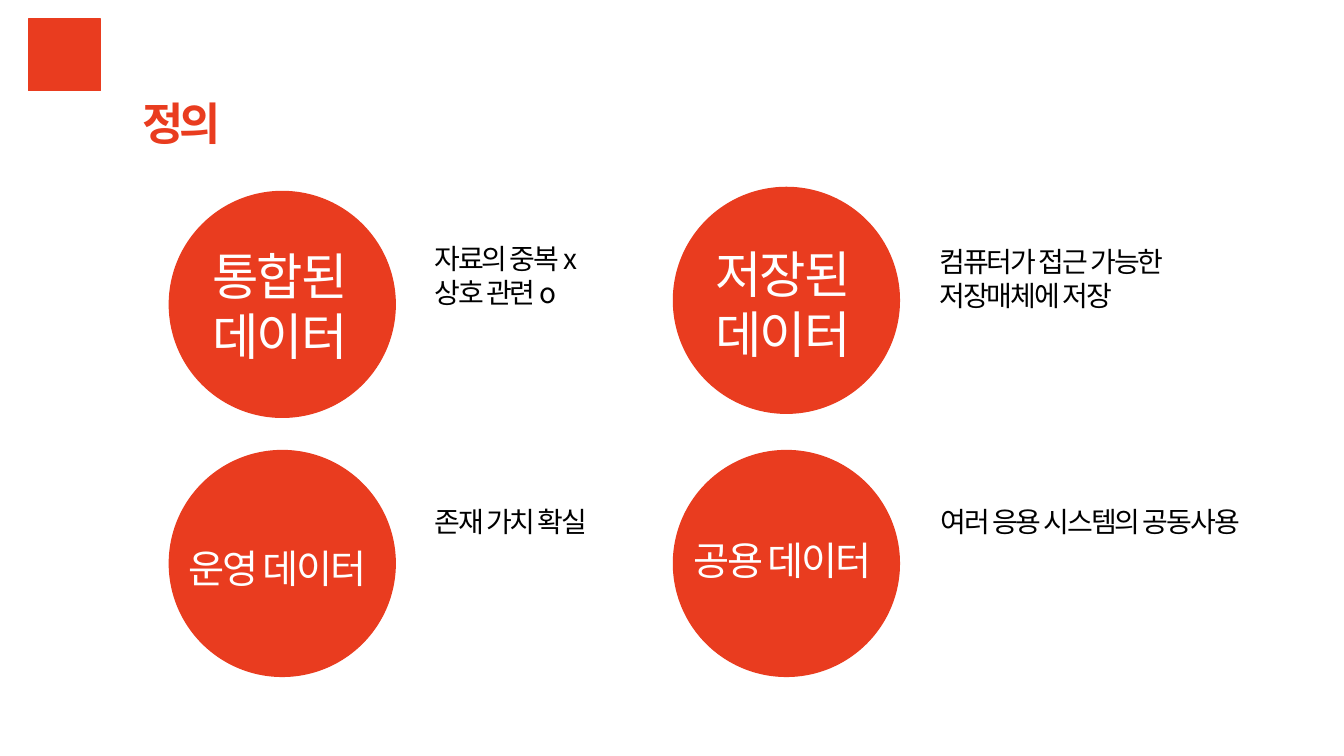
from pptx import Presentation, util as u
from pptx.dml.color import RGBColor
from pptx.enum import shapes, text
from pptx.oxml import ns
from lxml import etree

HUES = {"red": "E93C1F", "white": "FFFFFF", "black": "000000"}
FACE = "Noto Sans CJK KR"
SIDE = 2.24


def paint(form):
    """Give a shape the flat red fill and line."""
    form.shadow.inherit = False
    form.fill.solid()
    form.fill.fore_color.rgb = RGBColor.from_string(HUES["red"])
    form.line.color.rgb = RGBColor.from_string(HUES["red"])
    form.line.width = u.Pt(1)


def write(box, lines, size, hue, gap=-150, wrap=True, bold=False):
    """Fill a text box with lines in one format."""
    frame = box.text_frame
    frame.text = "\n".join(lines)
    look = {"word_wrap": wrap, "vertical_anchor": text.MSO_ANCHOR.TOP,
            "auto_size": text.MSO_AUTO_SIZE.SHAPE_TO_FIT_TEXT}
    for key, val in look.items():
        setattr(frame, key, val)
    for para in frame.paragraphs:
        para.alignment = text.PP_ALIGN.LEFT
        for run in para.runs:
            for key, val in {"size": u.Pt(size), "name": FACE, "bold": bold}.items():
                setattr(run.font, key, val)
            run.font.color.rgb = RGBColor.from_string(HUES[hue])
            # Letter spacing and East Asian font
            props = run._r.get_or_add_rPr()
            props.set("spc", str(gap))
            etree.SubElement(props, ns.qn("a:ea"), typeface=FACE)


deck = Presentation()
deck.slide_width, deck.slide_height = u.Inches(13.33), u.Inches(7.5)
slide = deck.slides.add_slide(deck.slide_layouts[5])

# Corner square
paint(slide.shapes.add_shape(shapes.MSO_SHAPE.RECTANGLE, u.Inches(0.28),
                             u.Inches(0.19), u.Inches(0.72), u.Inches(0.71)))

# Title
title = slide.shapes.title
for key, val in {"left": 1.31, "top": 0.9, "width": 0.99, "height": 0.64}.items():
    setattr(title, key, u.Inches(val))
write(title, ["정의"], 32, "red", gap=-300, wrap=False, bold=True)

# Circles: left, top, label, label size, label box
discs = [
    (1.68, 4.47, "운영 데이터", 28, (1.77, 5.35, 2.28, 0.57)),
    (6.68, 1.86, "저장된 데이터", 36, (7, 2.36, 2.03, 1.31)),
    (1.68, 1.9, "통합된 데이터", 36, (2.01, 2.38, 1.99, 1.31)),
    (6.68, 4.47, "공용 데이터", 28, (6.78, 5.27, 2.46, 0.57)),
]
for left, top, label, size, spot in discs:
    group = slide.shapes.add_group_shape()
    paint(group.shapes.add_shape(shapes.MSO_SHAPE.OVAL, u.Inches(left), u.Inches(top),
                                 u.Inches(SIDE), u.Inches(SIDE)))
    write(group.shapes.add_textbox(*map(u.Inches, spot)), [label], size, "white")

# Notes beside the circles
notes = [
    ((4.21, 2.35, 2.49, 0.77), ["자료의 중복 x", "상호 관련 o"]),
    ((4.21, 4.96, 2.49, 0.44), ["존재 가치 확실"]),
    ((9.22, 2.38, 3.69, 0.77), ["컴퓨터가 접근 가능한", "저장매체에 저장"]),
    ((9.23, 4.96, 3.85, 0.44), ["여러 응용 시스템의 공동사용"]),
]
for spot, lines in notes:
    write(slide.shapes.add_textbox(*map(u.Inches, spot)), lines, 20, "black")

deck.save("out.pptx")
